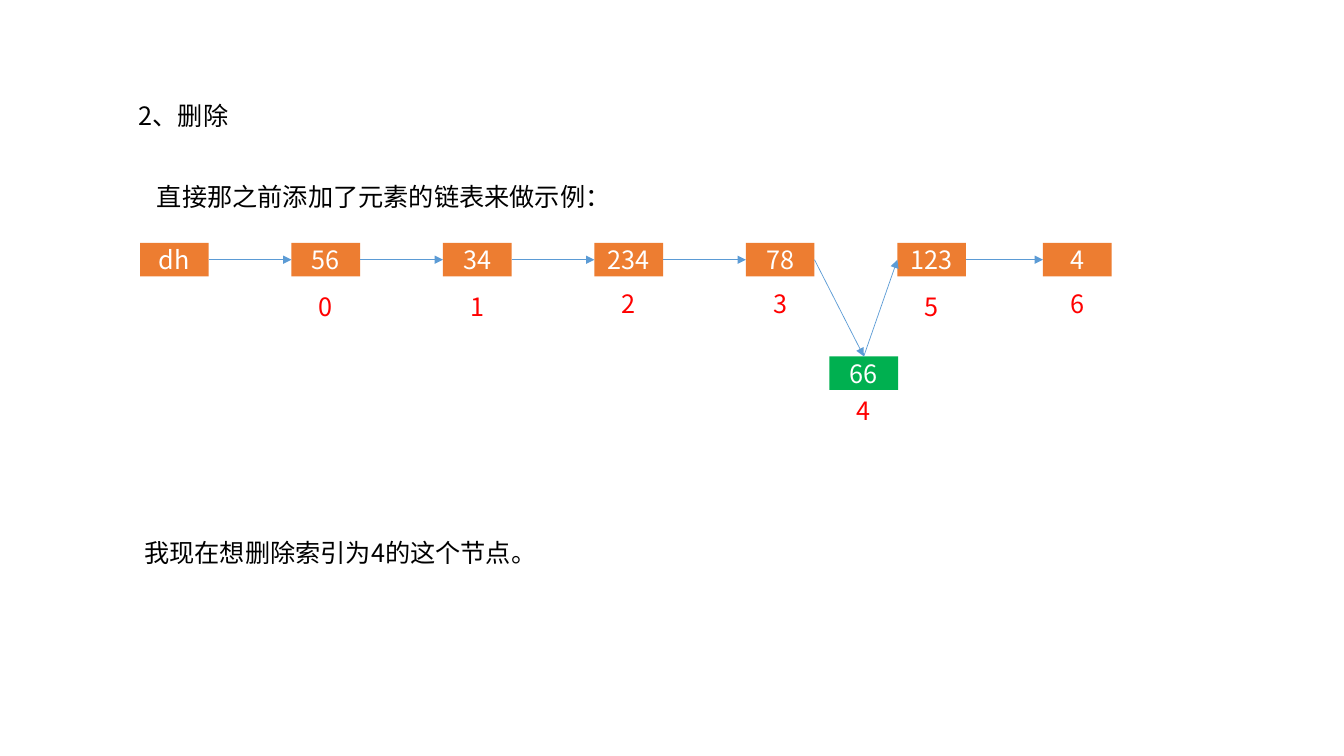
import lxml.etree
import pptx
import pptx.dml.color
import pptx.enum.shapes
import pptx.enum.text
import pptx.oxml.ns
import pptx.util

Pt = pptx.util.Pt
qn = pptx.oxml.ns.qn

FONT = "Noto Sans CJK SC"
HUES = {
    "text": "000000",
    "node": "ED7D31",
    "target": "00B050",
    "label": "FFFFFF",
    "index": "FF0000",
    "arrow": "5B9BD5",
}
NODE_W, NODE_H = 49, 24
TOP, RIGHT, LEFT = 0, 3, 1  # connection sites of a rectangle


def get_hue(name):
    """Return the named colour."""
    return pptx.dml.color.RGBColor.from_string(HUES[name])


def write(shape, text, hue="text", size=18, align="LEFT", anchor="TOP", wrap=False):
    """Put formatted text into a shape."""
    frame = shape.text_frame
    frame.word_wrap = wrap
    frame.vertical_anchor = getattr(pptx.enum.text.MSO_ANCHOR, anchor)
    para = frame.paragraphs[0]
    para.alignment = getattr(pptx.enum.text.PP_ALIGN, align)
    run = para.add_run()
    run.text = text
    run.font.size = Pt(size)
    run.font.name = FONT
    run.font.color.rgb = get_hue(hue)
    asian = lxml.etree.SubElement(run.font._element, qn("a:ea"))
    asian.set("typeface", FONT)


def add_note(shapes, box, text, **style):
    """Add a text box at left, top, width, height."""
    write(shapes.add_textbox(*map(Pt, box)), text, **style)


def add_node(shapes, left, top, text, hue="node"):
    """Add one node of the list."""
    kind = pptx.enum.shapes.MSO_SHAPE.RECTANGLE
    node = shapes.add_shape(kind, Pt(left), Pt(top), Pt(NODE_W), Pt(NODE_H))
    node.shadow.inherit = False
    node.fill.solid()
    node.fill.fore_color.rgb = get_hue(hue)
    node.line.fill.background()
    write(node, text, hue="label", align="CENTER", anchor="MIDDLE")
    return node


def add_arrow(shapes, start, end, site_a=RIGHT, site_b=LEFT):
    """Link two nodes with an arrow."""
    kind = pptx.enum.shapes.MSO_CONNECTOR.STRAIGHT
    arrow = shapes.add_connector(kind, start.left, start.top, end.left, end.top)
    arrow.begin_connect(start, site_a)
    arrow.end_connect(end, site_b)
    arrow.line.color.rgb = get_hue("arrow")
    arrow.line.width = Pt(0.5)
    line = arrow.line._get_or_add_ln()
    lxml.etree.SubElement(line, qn("a:tailEnd")).set("type", "triangle")
    lxml.etree.SubElement(arrow._element.spPr, qn("a:effectLst"))


def draw_chain(slide, box):
    """Draw the linked list, with the node to delete below the row."""
    left, top, width, height = box
    shapes = slide.shapes.add_group_shape().shapes
    pitch = 108.2
    names = ["dh", "56", "34", "234", "78", "123"]
    spots = [left + i * pitch for i in range(len(names))]
    names.append("4")
    spots.append(left + width - NODE_W)
    row = [add_node(shapes, x, top, name) for x, name in zip(spots, names)]

    low_x, low_y = left + 492.5, top + height - NODE_H
    target = add_node(shapes, low_x, low_y, "66", hue="target")

    last = names.index("78")
    for i, (start, end) in enumerate(zip(row, row[1:])):
        if i != last:
            add_arrow(shapes, start, end)
    add_arrow(shapes, row[last], target, site_b=TOP)
    add_arrow(shapes, target, row[last + 1], site_a=TOP)

    gaps = {"0": 31, "1": 31, "2": 29, "3": 29, "5": 31, "6": 29}
    marks = [(x, top + gap, text) for x, (text, gap) in zip(spots[1:], gaps.items())]
    marks.append((low_x, low_y + NODE_H, "4"))
    for x, y, text in marks:
        add_note(shapes, (x + 12.5, y, 24.5, 29), text, hue="index")


def build_slide(deck):
    """Place the heading, the list and the closing line."""
    slide = deck.slides.add_slide(deck.slide_layouts[6])
    add_note(slide.shapes, (92, 68.4, 78.5, 29), "2、删除", wrap=True)
    add_note(slide.shapes, (105, 126, 342, 29), "直接那之前添加了元素的链表来做示例：")
    draw_chain(slide, (100, 173.5, 694, 105))
    add_note(slide.shapes, (96, 380, 296.5, 29), "我现在想删除索引为4的这个节点。")


deck = pptx.Presentation()
deck.slide_width, deck.slide_height = Pt(960), Pt(540)
build_slide(deck)
deck.save("out.pptx")
